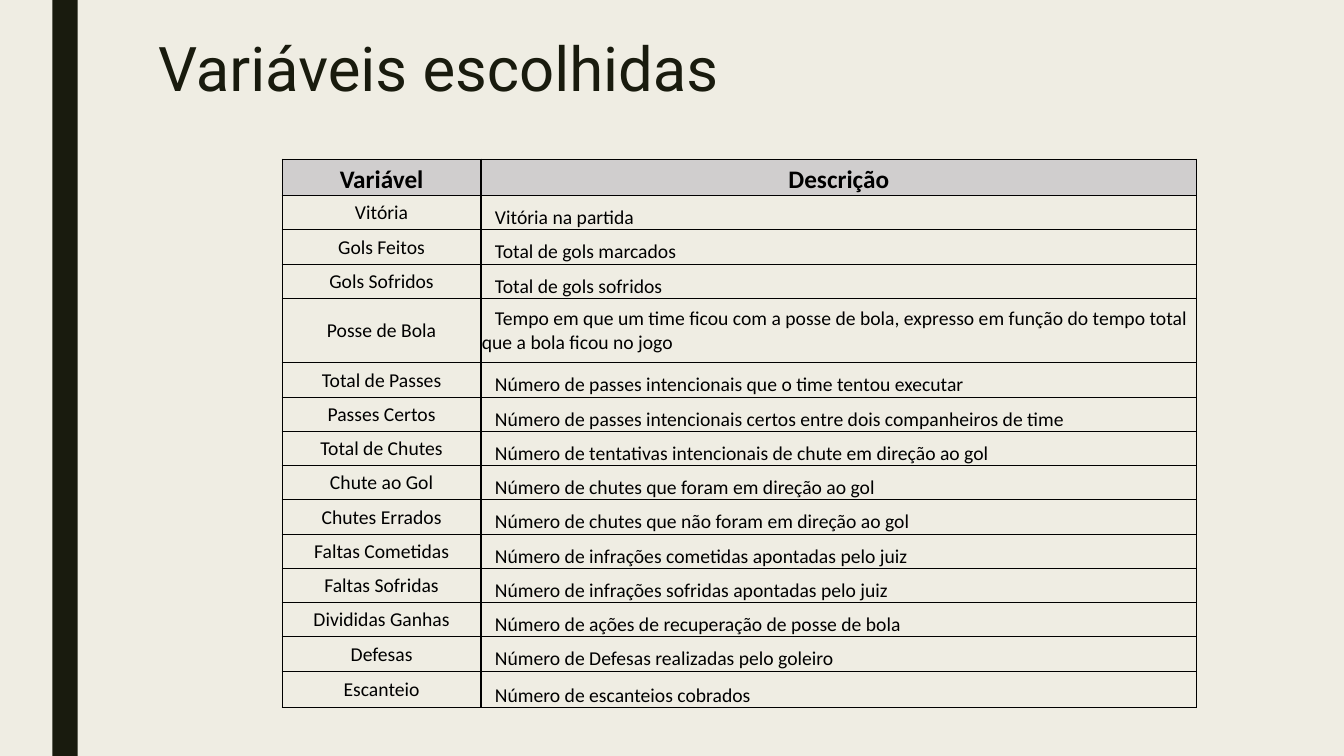
"""Build the slide that lists the chosen match variables."""
import lxml.etree
import pptx
import pptx.dml.color
import pptx.enum.shapes
import pptx.enum.text
import pptx.oxml.ns
import pptx.util

Inches, Pt = pptx.util.Inches, pptx.util.Pt
ALIGN, ANCHOR = pptx.enum.text.PP_ALIGN, pptx.enum.text.MSO_ANCHOR
qn = pptx.oxml.ns.qn

THEME = {
    "paper": "EFEDE3", "ink": "191B0E", "head": "D0CECE", "text": "000000",
    "title": {"name": "Roboto", "size": Pt(44)},
    "header": {"name": "Calibri", "size": Pt(18), "bold": True},
    "body": {"name": "Calibri", "size": Pt(14), "bold": False},
}
ROWS = [
    ("Variável", "Descrição"),
    ("Vitória", "Vitória na partida"),
    ("Gols Feitos", "Total de gols marcados"),
    ("Gols Sofridos", "Total de gols sofridos"),
    ("Posse de Bola", "Tempo em que um time ficou com a posse de bola, "
     "expresso em função do tempo total que a bola ficou no jogo"),
    ("Total de Passes", "Número de passes intencionais que o time tentou executar"),
    ("Passes Certos",
     "Número de passes intencionais certos entre dois companheiros de time"),
    ("Total de Chutes",
     "Número de tentativas intencionais de chute em direção ao gol"),
    ("Chute ao Gol", "Número de chutes que foram em direção ao gol"),
    ("Chutes Errados", "Número de chutes que não foram em direção ao gol"),
    ("Faltas Cometidas", "Número de infrações cometidas apontadas pelo juiz"),
    ("Faltas Sofridas", "Número de infrações sofridas apontadas pelo juiz"),
    ("Divididas Ganhas", "Número de ações de recuperação de posse de bola"),
    ("Defesas", "Número de Defesas realizadas pelo goleiro"),
    ("Escanteio", "Número de escanteios cobrados"),
]
LAST = len(ROWS) - 1
TALL = 4
HIGH = {0: 0.36, TALL: 0.64, LAST: 0.36}
INSET = {"margin_left": Inches(0.01), "margin_right": Inches(0.01),
         "margin_top": Inches(0.01), "margin_bottom": 0}


def write(para, text, style, color):
    """Add a run of text in a theme style."""
    run = para.add_run()
    run.text = text
    for key, value in THEME[style].items():
        setattr(run.font, key, value)
    run.font.color.rgb = pptx.dml.color.RGBColor.from_string(THEME[color])


def border(cell, widths):
    """Draw the left, right, top and bottom edges of a cell."""
    props = cell._tc.get_or_add_tcPr()
    for spot, (side, width) in enumerate(zip("LRTB", widths)):
        line = lxml.etree.Element(qn(f"a:ln{side}"), w=str(Pt(width)))
        fill = lxml.etree.SubElement(line, qn("a:solidFill"))
        lxml.etree.SubElement(fill, qn("a:srgbClr"), val=THEME["text"])
        props.insert(spot, line)


deck = pptx.Presentation()
deck.slide_width, deck.slide_height = Inches(13.33), Inches(7.5)
slide = deck.slides.add_slide(deck.slide_layouts[6])
back = slide.background.fill
back.solid()
back.fore_color.rgb = pptx.dml.color.RGBColor.from_string(THEME["paper"])

bar = slide.shapes.add_shape(pptx.enum.shapes.MSO_SHAPE.RECTANGLE,
                             Inches(0.52), 0, Inches(0.25), Inches(7.5))
bar.shadow.inherit = False
bar.fill.solid()
bar.fill.fore_color.rgb = pptx.dml.color.RGBColor.from_string(THEME["ink"])
bar.line.fill.background()

title = slide.shapes.add_textbox(Inches(1.47), Inches(0.34),
                                 Inches(10.5), Inches(1.62)).text_frame
title.word_wrap = True
title.paragraphs[0].line_spacing = 0.89
write(title.paragraphs[0], "Variáveis escolhidas", "title", "ink")

table = slide.shapes.add_table(len(ROWS), 2, Inches(2.8), Inches(1.58),
                               Inches(9.07), Inches(5.42)).table
table.first_row = table.horz_banding = False
for col, width in zip(table.columns, (1.97, 7.1)):
    col.width = Inches(width)

for row, texts in enumerate(ROWS):
    table.rows[row].height = Inches(HIGH.get(row, 0.34))
    top = 1 if row < 2 else 0.5
    base = 1 if row in (0, LAST) else 0.5
    for col, text in enumerate(texts):
        cell = table.cell(row, col)
        low = row == 0 or (col == 1 and row != TALL)
        form = {**INSET,
                "vertical_anchor": ANCHOR.BOTTOM if low else ANCHOR.MIDDLE}
        for key, value in form.items():
            setattr(cell, key, value)
        para = cell.text_frame.paragraphs[0]
        if row == 0:
            cell.fill.solid()
            cell.fill.fore_color.rgb = pptx.dml.color.RGBColor.from_string(
                THEME["head"])
        else:
            cell.fill.background()
        if row == 0 or col == 0:
            para.alignment = ALIGN.CENTER
        else:
            para.alignment = ALIGN.LEFT
            para._p.get_or_add_pPr().set("indent", str(Inches(0.13)))
        write(para, text, "body" if row else "header", "text")
        border(cell, (1, 1, top, base))

deck.save("out.pptx")
